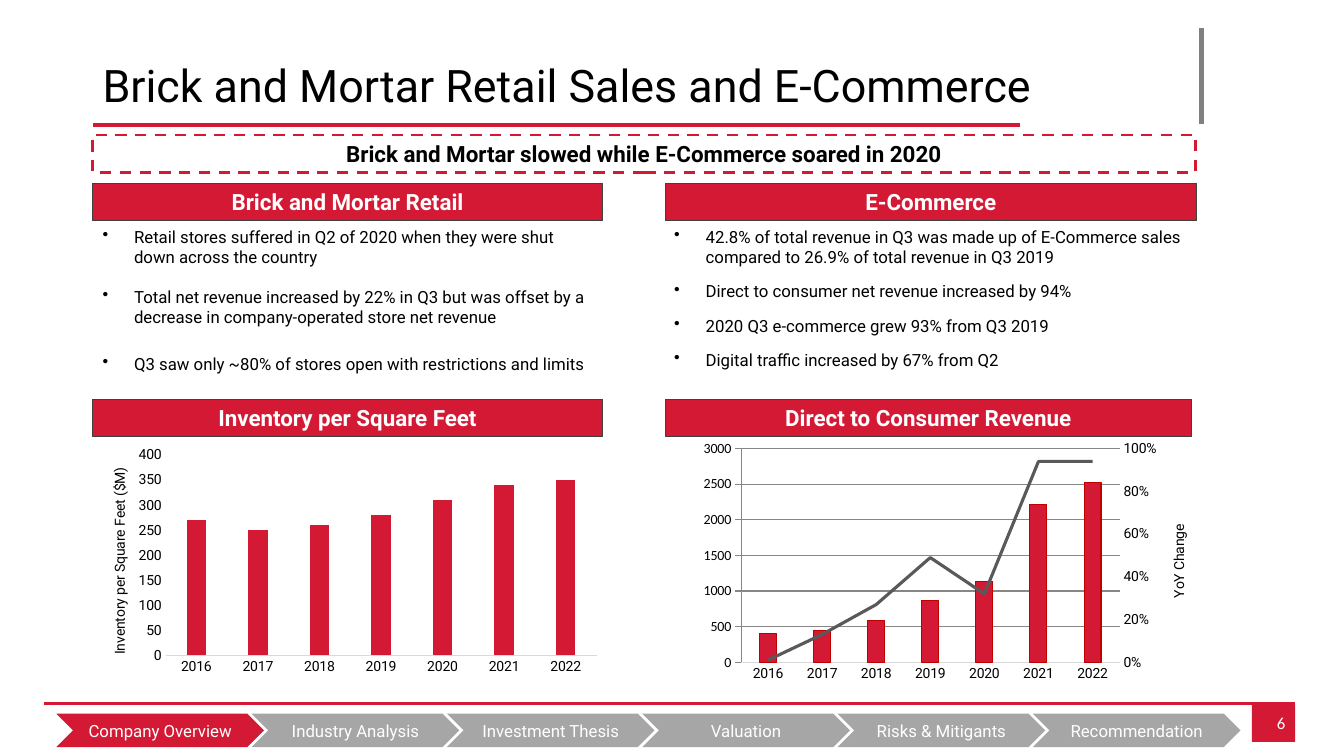
from copy import deepcopy

from lxml import etree
from pptx import Presentation
from pptx.chart.axis import ValueAxis
from pptx.chart.data import CategoryChartData
from pptx.dml.color import RGBColor
from pptx.enum.chart import XL_CHART_TYPE, XL_MARKER_STYLE, XL_TICK_MARK
from pptx.enum.dml import MSO_LINE
from pptx.enum.shapes import MSO_CONNECTOR, MSO_SHAPE
from pptx.enum.text import MSO_ANCHOR, PP_ALIGN
from pptx.oxml import parse_xml
from pptx.oxml.ns import nsdecls, qn
from pptx.util import Pt

RED = RGBColor(0xD4, 0x19, 0x35)
DEEP = RGBColor(0xC0, 0x00, 0x00)
DARK = RGBColor(0x40, 0x40, 0x40)
SLATE = RGBColor(0x59, 0x59, 0x59)
GRAY = RGBColor(0x80, 0x80, 0x80)
SILVER = RGBColor(0xA6, 0xA6, 0xA6)
PALE = RGBColor(0xD9, 0xD9, 0xD9)
WHITE = RGBColor(0xFF, 0xFF, 0xFF)
BLACK = RGBColor(0x00, 0x00, 0x00)
RECT, CHEVRON, STRAIGHT = MSO_SHAPE.RECTANGLE, MSO_SHAPE.CHEVRON, MSO_CONNECTOR.STRAIGHT
MIDDLE, TOP = MSO_ANCHOR.MIDDLE, MSO_ANCHOR.TOP
CENTER, RIGHT = PP_ALIGN.CENTER, PP_ALIGN.RIGHT
COLUMN, DASH = XL_CHART_TYPE.COLUMN_CLUSTERED, MSO_LINE.DASH
NO_TICK, NO_MARK = XL_TICK_MARK.NONE, XL_MARKER_STYLE.NONE

STEPS = ["Company Overview", "Industry Analysis", "Investment Thesis",
         "Valuation", "Risks & Mitigants", "Recommendation"]
STORES = [
    (0, "Retail stores suffered in Q2 of 2020 when they were shut down across the country"),
    (14, "Total net revenue increased by 22% in Q3 but was offset by a decrease "
         "in company-operated store net revenue"),
    (19, "Q3 saw only ~80% of stores open with restrictions and limits")]
ONLINE = [
    (0, "42.8% of total revenue in Q3 was made up of E-Commerce sales "
        "compared to 26.9% of total revenue in Q3 2019"),
    (10, "Direct to consumer net revenue increased by 94%"),
    (10, "2020 Q3 e-commerce grew 93% from Q3 2019"),
    (10, "Digital traffic increased by 67% from Q2")]


def set_font(font, size, color, bold=False, name="Roboto"):
    font.size, font.bold, font.name = Pt(size), bold, name
    font.color.rgb = color


def set_line(line, color, width):
    line.color.rgb, line.width = color, Pt(width)


def add_line(slide, ends, color, width):
    line = slide.shapes.add_connector(STRAIGHT, *map(Pt, ends))
    set_line(line.line, color, width)
    etree.SubElement(line._element.spPr, qn("a:effectLst"))


def add_box(slide, kind, spot, text, size, fill, color=WHITE, bold=False, anchor=TOP):
    box = slide.shapes.add_shape(kind, *map(Pt, spot))
    box.shadow.inherit = False
    box.line.fill.background()
    box.fill.background()
    if fill:
        box.fill.solid()
        box.fill.fore_color.rgb = fill
    box.text_frame.text = text
    box.text_frame.vertical_anchor = anchor
    para = box.text_frame.paragraphs[0]
    para.alignment = CENTER
    set_font(para.runs[0].font, size, color, bold)
    return box


def add_text(slide, spot):
    frame = slide.shapes.add_textbox(*map(Pt, spot)).text_frame
    frame.word_wrap = True
    return frame


def add_list(slide, x, width, items):
    frame = add_text(slide, (x, 158.4, width, 112))
    for row, (gap, text) in enumerate(items):
        para = frame.add_paragraph() if row else frame.paragraphs[0]
        para.text = text
        if gap:
            para.space_before = Pt(gap)
        props = para._p.get_or_add_pPr()
        props.set("marL", str(Pt(22.5)))
        props.set("indent", str(-Pt(22.5)))
        etree.SubElement(props, qn("a:buChar")).set("char", "•")
        set_font(para.runs[0].font, 12, BLACK)


def set_layout(node, index, **parts):
    for old in node.findall(qn("c:layout")):
        node.remove(old)
    body = "".join(f'<c:{tag} val="{val}"/>' for tag, val in parts.items())
    node.insert(index, parse_xml(f'<c:layout {nsdecls("c")}><c:manualLayout>{body}'
                                 '</c:manualLayout></c:layout>'))


def style_axis(axis, title, x, y, top, step, code):
    axis.has_major_gridlines = False
    axis.major_tick_mark = NO_TICK
    axis.minimum_scale, axis.maximum_scale, axis.major_unit = 0, top, step
    axis.format.line.fill.background()
    labels = axis.tick_labels
    labels.number_format, labels.number_format_is_linked = code, False
    set_font(labels.font, 10, BLACK)
    frame = axis.axis_title.text_frame
    frame.text = title
    frame._txBody.bodyPr.set("rot", "-5400000")
    frame._txBody.bodyPr.set("vert", "horz")
    set_font(frame.paragraphs[0].runs[0].font, 10, BLACK)
    set_layout(axis.axis_title._element, 1, xMode="edge", yMode="edge", x=x, y=y)


def add_chart(slide, spot, area, rows):
    data = CategoryChartData()
    data.categories = [str(year) for year in range(2016, 2023)]
    for number, values in enumerate(rows, 1):
        data.add_series(f"Series {number}", values)
    chart = slide.shapes.add_chart(COLUMN, *map(Pt, spot), data).chart
    chart.has_legend = chart.has_title = False
    set_font(chart.font, 10, BLACK, name="Calibri")
    plot = chart.plots[0]
    plot.gap_width, plot.overlap, plot.vary_by_categories = 219, -27, False
    fill = plot.series[0].format.fill
    fill.solid()
    fill.fore_color.rgb = RED
    axis = chart.category_axis
    axis.major_tick_mark = NO_TICK
    set_line(axis.format.line, PALE, 0.75)
    set_font(axis.tick_labels.font, 10, BLACK)
    set_layout(chart._chartSpace.chart.plotArea, 0, layoutTarget="inner", xMode="edge",
               yMode="edge", **dict(zip("xywh", area)))
    return chart


def split_line(chart):
    zone = chart._chartSpace.chart.plotArea
    bars = zone.find(qn("c:barChart"))
    trend = bars.findall(qn("c:ser"))[1]
    for flag in trend.findall(qn("c:invertIfNegative")):
        trend.remove(flag)
    lines = parse_xml(
        f'<c:lineChart {nsdecls("c")}><c:grouping val="standard"/><c:varyColors val="0"/>'
        '<c:axId val="5001"/><c:axId val="5002"/></c:lineChart>')
    lines.insert(2, trend)
    bars.addnext(lines)
    cats, vals = (deepcopy(zone.find(qn(tag))) for tag in ("c:catAx", "c:valAx"))
    for axis, own, cross in ((cats, "5001", "5002"), (vals, "5002", "5001")):
        axis.find(qn("c:axId")).set("val", own)
        axis.find(qn("c:crossAx")).set("val", cross)
    cats.find(qn("c:delete")).set("val", "1")
    vals.find(qn("c:axPos")).set("val", "r")
    vals.find(qn("c:crosses")).set("val", "max")
    zone.find(qn("c:valAx")).addnext(vals)
    vals.addnext(cats)
    series = chart.plots[1].series[0]
    series.smooth, series.marker.style = False, NO_MARK
    set_line(series.format.line, SLATE, 2.25)
    return ValueAxis(vals)


def main():
    deck = Presentation()
    deck.slide_width, deck.slide_height = Pt(960), Pt(540)
    slide = deck.slides.add_slide(deck.slide_layouts[6])
    add_line(slide, (925, 502.6, 31.7, 502.6), RED, 2.25)
    page = add_box(slide, RECT, (894.2, 503.3, 31, 26.6), "6", 12, RED, anchor=MIDDLE)
    page.text_frame.paragraphs[0].alignment = RIGHT
    page.text_frame.paragraphs[0].runs[0].font.name = "Calibri"
    add_line(slide, (858.2, 20.2, 858.2, 88.6), GRAY, 3)
    add_line(slide, (728.6, 89.3, 66.2, 89.3), RED, 2.25)
    title = add_text(slide, (66.2, 26, 695.5, 74))
    title.text, title.vertical_anchor = "Brick and Mortar Retail Sales and E-Commerce", MIDDLE
    title.paragraphs[0].line_spacing = 0.9
    set_font(title.paragraphs[0].runs[0].font, 32, BLACK)
    banner = add_box(slide, RECT, (66.2, 96.5, 787.7, 26.6),
                     "Brick and Mortar slowed while E-Commerce soared in 2020", 16, None, BLACK, True)
    set_line(banner.line, RED, 2)
    banner.line.dash_style = DASH
    for x, y, width, text in ((66.2, 131, 364.3, "Brick and Mortar Retail"),
                              (475.2, 131, 379.4, "E-Commerce"),
                              (66.2, 285.1, 364.3, "Inventory per Square Feet"),
                              (475.2, 285.1, 375.8, "Direct to Consumer Revenue")):
        head = add_box(slide, RECT, (x, y, width, 26.6), text, 16, RED, bold=True)
        set_line(head.line, DARK, 0.75)
    add_list(slide, 66.2, 364.3, STORES)
    add_list(slide, 474.5, 379.4, ONLINE)
    stock = add_chart(slide, (66.2, 313.9, 364.3, 182.2), (0.143, 0.062, 0.845, 0.785),
                      [(270, 250, 260, 280, 310, 340, 350)])
    style_axis(stock.value_axis, "Inventory per Square Feet ($M)", 0.03, 0.1, 400, 50, "0")
    sales = add_chart(slide, (475.2, 311.8, 375.8, 184.3), (0.145, 0.047, 0.724, 0.828),
                      [(400, 450, 580, 860, 1140, 2210, 2530),
                       (0.01, 0.13, 0.27, 0.49, 0.32, 0.94, 0.94)])
    set_line(sales.plots[0].series[0].format.line, DEEP, 0.75)
    growth = split_line(sales)
    style_axis(sales.value_axis, "DTCR ($M)", 0.02, 0.33, 3000, 500, "0")
    style_axis(growth, "YoY Change", 0.96, 0.33, 1, 0.2, "0%")
    for index, step in enumerate(STEPS):
        add_box(slide, CHEVRON, (40.3 + 139.5 * index, 509.8, 148.3, 23.8), step, 12,
                SILVER if index else RED, anchor=MIDDLE)
    deck.save("out.pptx")


if __name__ == "__main__":
    main()
